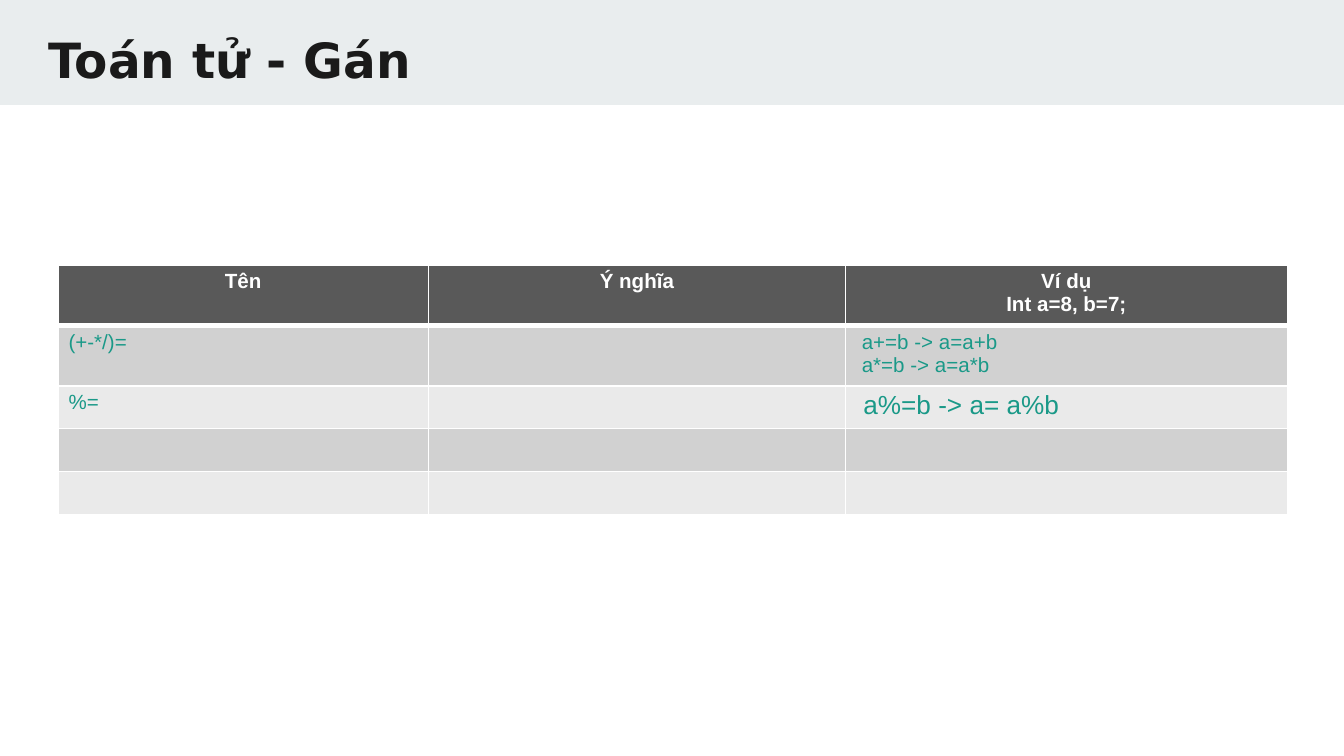
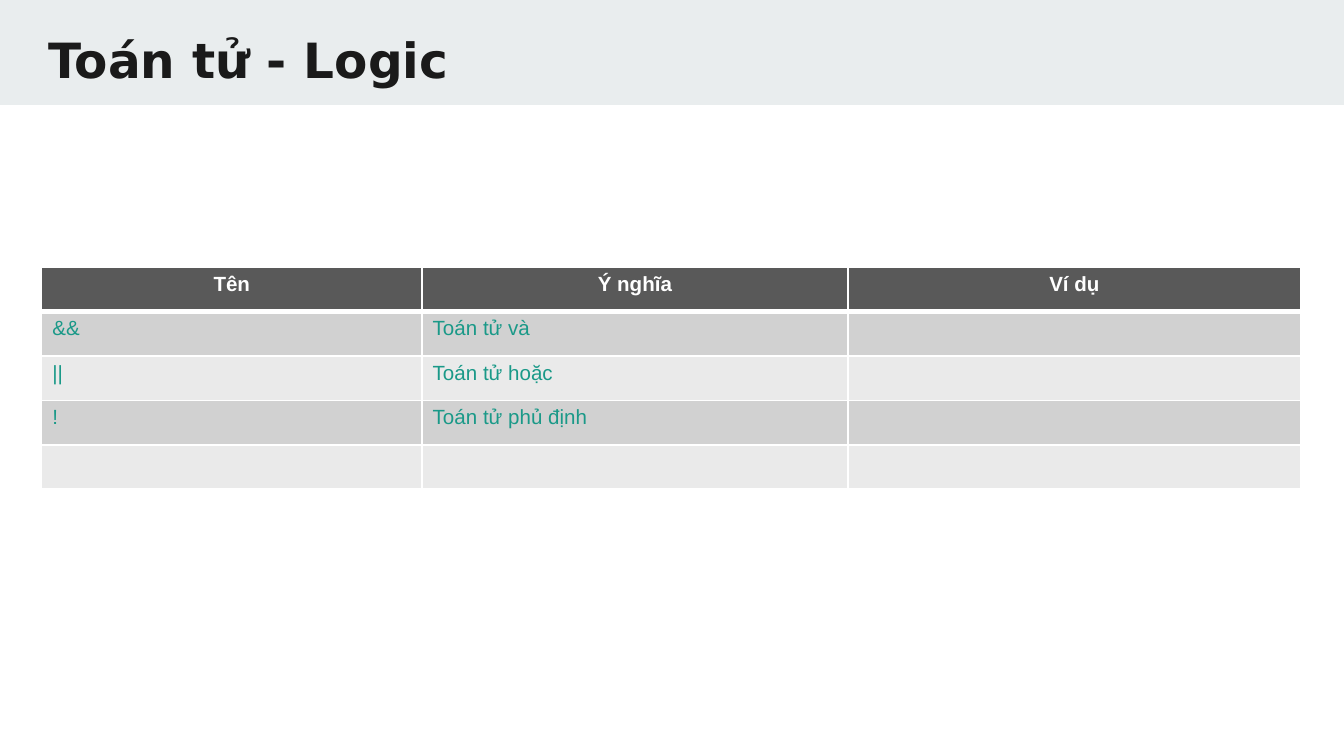
from lxml import etree
from pptx import Presentation
from pptx import util as u
from pptx.dml.color import RGBColor
from pptx.enum import shapes, text
from pptx.oxml import ns

WHITE, BAND, INK, TEAL = "FFFFFF", "E9EDEE", "1A1A1A", "1A9988"
HEADER_FILL, ROW_FILLS = "595959", ("D1D1D1", "EAEAEA")
TITLE_FONT, BODY_FONT = "DejaVu Sans", "Arial"
BODY_SIZE = 11
PAGE_WIDTH = 10
PAGE_HEIGHT = PAGE_WIDTH * 9 / 16


def colour(hex_value):
    return RGBColor.from_string(hex_value)


def add_text(para, words, size, font, hex_value, bold=False):
    span = para.add_run()
    span.text = words
    span.font.size = u.Pt(size)
    span.font.name = font
    span.font.bold = bold
    span.font.color.rgb = colour(hex_value)


def add_title(page, words):
    """Draw the header band with the slide title on it."""
    band = page.shapes.add_shape(
        shapes.MSO_SHAPE.RECTANGLE, 0, 0, u.Inches(PAGE_WIDTH), u.Inches(0.78))
    band.shadow.inherit = False
    band.fill.solid()
    band.fill.fore_color.rgb = colour(BAND)
    band.line.fill.background()

    box = page.shapes.add_textbox(*map(u.Inches, (0.26, 0.12, 9.52, 0.59)))
    frame = box.text_frame
    frame.word_wrap = True
    frame.margin_left = frame.margin_right = u.Inches(0.1)
    frame.margin_top = frame.margin_bottom = u.Inches(0.1)
    add_text(frame.paragraphs[0], words, 26, TITLE_FONT, INK, bold=True)


def set_borders(cell, top, bottom):
    """Give the cell white edges; top and bottom widths are in points."""
    properties = cell._tc.get_or_add_tcPr()
    edges = {"lnL": 1, "lnR": 1, "lnT": top, "lnB": bottom}
    for place, (tag, width) in enumerate(edges.items()):
        line = etree.Element(ns.qn(f"a:{tag}"), w=str(u.Pt(width)))
        fill = etree.SubElement(line, ns.qn("a:solidFill"))
        etree.SubElement(fill, ns.qn("a:srgbClr"), val=WHITE)
        properties.insert(place, line)


def fill_cell(cell, words, row, size):
    header = row == 0
    cell.margin_left = cell.margin_right = u.Inches(0.08)
    cell.margin_top = cell.margin_bottom = u.Inches(0.04)
    cell.fill.solid()
    cell.fill.fore_color.rgb = colour(
        HEADER_FILL if header else ROW_FILLS[(row - 1) % 2])
    set_borders(cell, top=3 if row == 1 else 1, bottom=3 if header else 1)

    frame = cell.text_frame
    if not words:
        # An empty cell needs a small font too, or its row grows.
        etree.SubElement(frame.paragraphs[0]._p, ns.qn("a:endParaRPr"),
                         sz=str(BODY_SIZE * 100))
        return
    for index, line in enumerate(words.split("\n")):
        para = frame.add_paragraph() if index else frame.paragraphs[0]
        if header:
            para.alignment = text.PP_ALIGN.CENTER
        add_text(para, line, size, BODY_FONT, WHITE if header else TEAL, header)


def add_operator_table(page, left, top, widths, heights, rows, sizes=None):
    """Draw a banded table; sizes maps (row, column) to a special text size."""
    sizes = sizes or {}
    frame = page.shapes.add_table(
        len(heights), len(widths),
        *map(u.Inches, (left, top, sum(widths), sum(heights))))
    table = frame.table
    for column, width in zip(table.columns, widths):
        column.width = u.Inches(width)
    for line, height in zip(table.rows, heights):
        line.height = u.Inches(height)
    for r, row in enumerate(rows):
        for c, words in enumerate(row):
            fill_cell(table.cell(r, c), words, r, sizes.get((r, c), BODY_SIZE))


def add_operator_page(deck, title, **table):
    page = deck.slides.add_slide(deck.slide_layouts[6])
    add_title(page, title)
    add_operator_table(page, **table)


def main():
    deck = Presentation()
    deck.slide_width = u.Inches(PAGE_WIDTH)
    deck.slide_height = u.Inches(PAGE_HEIGHT)
    blank_row = ("", "", "")

    add_operator_page(
        deck, "Toán tử - Gán", left=0.43, top=1.97,
        widths=(2.76, 3.1, 3.29), heights=[0.45] * 2 + [0.32] * 3,
        rows=[
            ("Tên", "Ý nghĩa", "Ví dụ\nInt a=8, b=7;"),
            ("(+-*/)=", "", " a+=b -> a=a+b\n a*=b -> a=a*b"),
            ("%=", "", " a%=b -> a= a%b"),
            blank_row,
            blank_row,
        ],
        sizes={(2, 2): 14})

    add_operator_page(
        deck, "Toán tử - Logic", left=0.31, top=1.99,
        widths=(2.83, 3.17, 3.37), heights=[0.33] * 5,
        rows=[
            ("Tên", "Ý nghĩa", "Ví dụ"),
            ("&&", "Toán tử và", ""),
            ("||", "Toán tử hoặc", ""),
            ("!", "Toán tử phủ định", ""),
            blank_row,
        ])

    deck.save("out.pptx")


if __name__ == "__main__":
    main()
